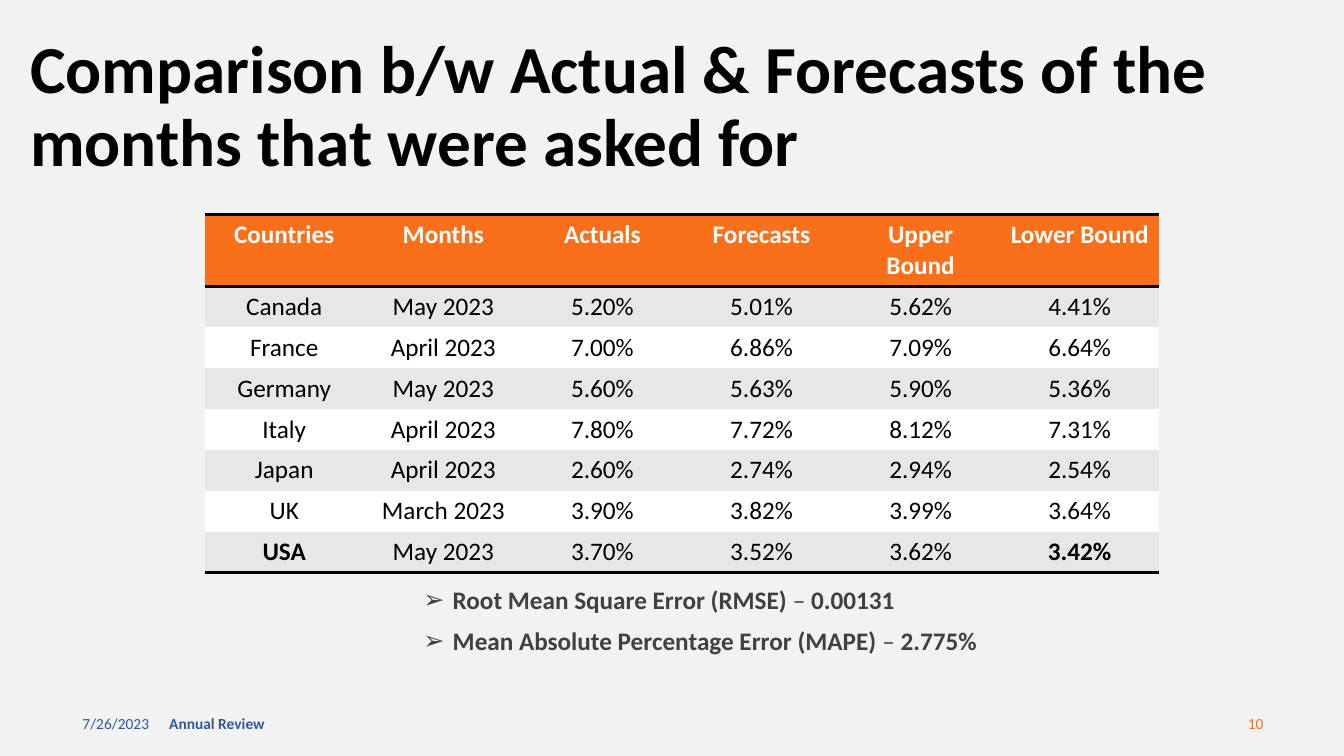
from lxml.etree import SubElement
from pptx import Presentation
from pptx.dml.color import RGBColor
from pptx.enum.text import MSO_ANCHOR, MSO_AUTO_SIZE, PP_ALIGN
from pptx.oxml import parse_xml
from pptx.oxml.ns import nsdecls, qn
from pptx.util import Inches, Pt

BLACK = RGBColor(0x00, 0x00, 0x00)
WHITE = RGBColor(0xFF, 0xFF, 0xFF)
ORANGE = RGBColor(0xFA, 0x6F, 0x1A)
BLUE = RGBColor(0x2C, 0x59, 0x9D)
DARK_GRAY = RGBColor(0x40, 0x40, 0x40)
BAND_GRAY = RGBColor(0xE7, 0xE7, 0xE7)
PAGE_GRAY = RGBColor(0xF2, 0xF2, 0xF2)

NO_STYLE = "{2D5ABB26-0587-4C30-8999-92F81FD0307C}"

COUNTRY_ROWS = [
    ["Countries", "Months", "Actuals", "Forecasts", "Upper Bound", "Lower Bound"],
    ["Canada", "May 2023", "5.20%", "5.01%", "5.62%", "4.41%"],
    ["France", "April 2023", "7.00%", "6.86%", "7.09%", "6.64%"],
    ["Germany", "May 2023", "5.60%", "5.63%", "5.90%", "5.36%"],
    ["Italy", "April 2023", "7.80%", "7.72%", "8.12%", "7.31%"],
    ["Japan", "April 2023", "2.60%", "2.74%", "2.94%", "2.54%"],
    ["UK", "March 2023", "3.90%", "3.82%", "3.99%", "3.64%"],
    ["USA", "May 2023", "3.70%", "3.52%", "3.62%", "3.42%"],
]
BOLD_VALUES = {"USA", "3.42%"}

ERROR_MEASURES = [
    ("Root Mean Square Error (RMSE) ", "0.00131"),
    ("Mean Absolute Percentage Error (MAPE) ", "2.775%"),
]


class ReviewPage:
    """Holds the text style and the current slide."""

    font_name = "Calibri"

    def __init__(self, deck):
        self.page = deck.slides.add_slide(deck.slide_layouts[1])
        fill = self.page.background.fill
        fill.solid()
        fill.fore_color.rgb = PAGE_GRAY

    def add_span(self, para, text, size, color, bold=False):
        span = para.add_run()
        span.text = text
        formats = {"name": self.font_name, "size": Pt(size), "bold": bold}
        for key, value in formats.items():
            setattr(span.font, key, value)
        span.font.color.rgb = color

    def place(self, box, left, top, width, height, anchor):
        bounds = {"left": left, "top": top, "width": width, "height": height}
        for key, value in bounds.items():
            setattr(box, key, Inches(value))
        frame = box.text_frame
        settings = {"word_wrap": True, "auto_size": MSO_AUTO_SIZE.NONE,
                    "vertical_anchor": anchor}
        for key, value in settings.items():
            setattr(frame, key, value)
        return frame

    def title(self, text, *bounds):
        frame = self.place(self.page.shapes.title, *bounds, MSO_ANCHOR.MIDDLE)
        para = frame.paragraphs[0]
        para.alignment = PP_ALIGN.LEFT
        para.line_spacing = 0.9
        self.add_span(para, text, 48, BLACK, True)

    def label(self, text, bounds, color, bold=False, alignment=PP_ALIGN.LEFT):
        box = self.page.shapes.add_textbox(0, 0, 0, 0)
        para = self.place(box, *bounds, MSO_ANCHOR.MIDDLE).paragraphs[0]
        para.alignment = alignment
        self.add_span(para, text, 11, color, bold)

    def measures(self, items, *bounds):
        frame = self.place(self.page.placeholders[1], *bounds, MSO_ANCHOR.TOP)
        for index, (name, value) in enumerate(items):
            para = frame.add_paragraph() if index else frame.paragraphs[0]
            para.line_spacing = 0.9
            para.space_before = Pt(10 if index else 0)
            properties = para._p.get_or_add_pPr()
            properties.set("marL", str(Inches(0.29)))
            properties.set("indent", str(Inches(-0.29)))
            SubElement(properties, qn("a:buFont"), typeface="Wingdings 3")
            properties[-1].set("typeface", "Arial")
            SubElement(properties, qn("a:buChar"), char="➢")
            for text, bold in ((name, True), ("– ", False), (value, True)):
                self.add_span(para, text, 18, DARK_GRAY, bold)

    def border(self, cell, side):
        line = parse_xml(
            f'<a:{side} {nsdecls("a")} w="{Pt(2)}"><a:solidFill>'
            f'<a:srgbClr val="{BLACK}"/></a:solidFill></a:{side}>')
        cell._tc.get_or_add_tcPr().insert(0, line)

    def table(self, rows, left, top, width, height):
        frame = self.page.shapes.add_table(
            len(rows), len(rows[0]), Inches(left), Inches(top),
            Inches(width), Inches(height))
        table = frame.table
        table._tbl.tblPr.find(qn("a:tableStyleId")).text = NO_STYLE
        for row_index, row in enumerate(rows):
            header = row_index == 0
            band = ORANGE if header else BAND_GRAY if row_index % 2 else WHITE
            for column_index, text in enumerate(row):
                cell = table.cell(row_index, column_index)
                cell.fill.solid()
                cell.fill.fore_color.rgb = band
                para = cell.text_frame.paragraphs[0]
                para.alignment = PP_ALIGN.CENTER
                self.add_span(para, text, 18, WHITE if header else BLACK,
                              header or text in BOLD_VALUES)
                if header or row_index == len(rows) - 1:
                    self.border(cell, "lnB")
                if header:
                    self.border(cell, "lnT")


def main():
    deck = Presentation()
    deck.slide_width = Inches(13.33)
    deck.slide_height = Inches(7.5)
    review = ReviewPage(deck)

    # Footer
    review.label("7/26/2023", (0.72, 6.98, 3, 0.4), BLUE)
    review.label("Annual Review", (1.58, 6.98, 4.5, 0.4), BLUE, bold=True)
    review.label("10", (9.63, 6.98, 3, 0.4), ORANGE, alignment=PP_ALIGN.RIGHT)

    # Title, forecast table and error measures
    review.title("Comparison b/w Actual & Forecasts of the months that were asked for",
                 0.2, 0.69, 13.13, 0.77)
    review.table(COUNTRY_ROWS, 2.03, 2.13, 9.47, 3.24)
    review.measures(ERROR_MEASURES, 4.1, 5.78, 6.13, 0.78)

    deck.save("out.pptx")


if __name__ == "__main__":
    main()
